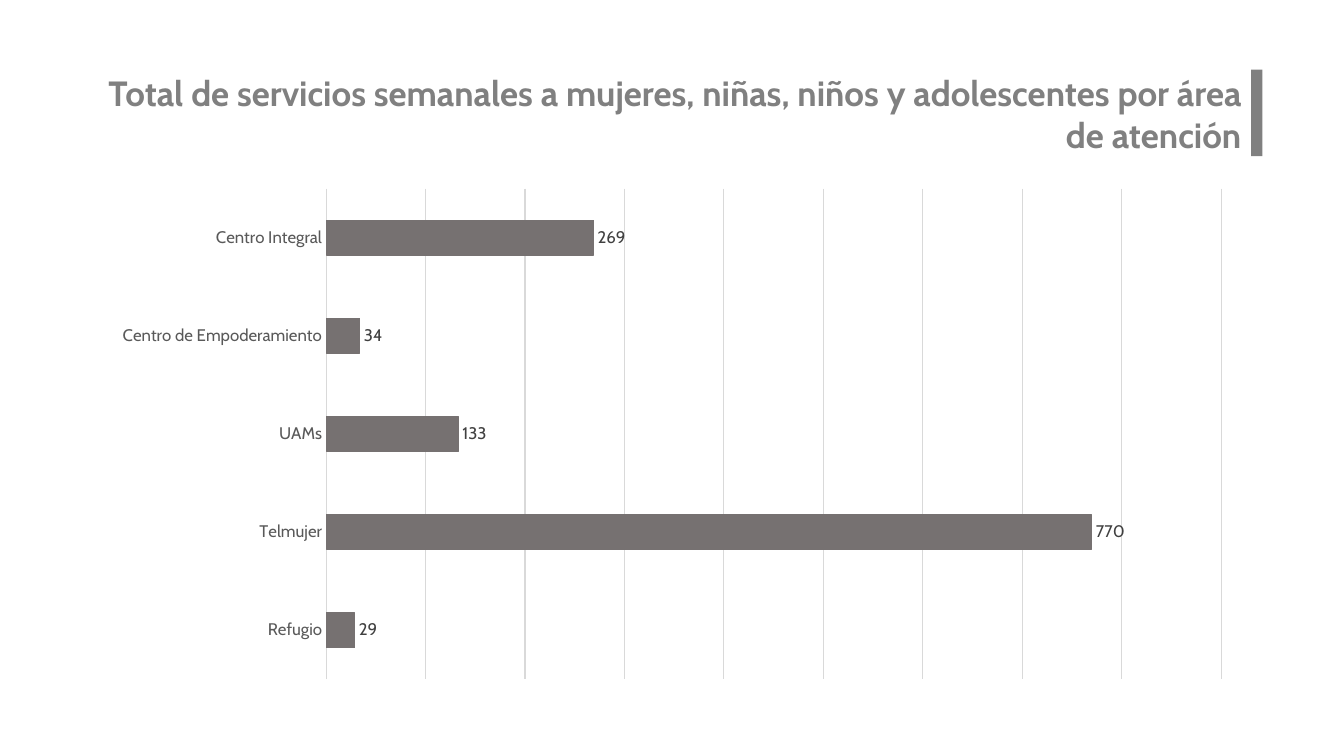
from dataclasses import dataclass

from pptx import Presentation
from pptx.chart.data import CategoryChartData
from pptx.dml.color import RGBColor
from pptx.enum.chart import XL_CHART_TYPE, XL_LABEL_POSITION, XL_TICK_MARK
from pptx.enum.shapes import MSO_SHAPE
from pptx.enum.text import MSO_ANCHOR, MSO_AUTO_SIZE, PP_ALIGN
from pptx.util import Inches, Pt

BAR_CLUSTERED = XL_CHART_TYPE.BAR_CLUSTERED
OUTSIDE_END = XL_LABEL_POSITION.OUTSIDE_END
NO_TICK = XL_TICK_MARK.NONE
RECTANGLE = MSO_SHAPE.RECTANGLE
TOP = MSO_ANCHOR.TOP
NO_AUTOFIT = MSO_AUTO_SIZE.NONE
RIGHT = PP_ALIGN.RIGHT
TITLE_ONLY = 5


@dataclass(frozen=True)
class Theme:
    font: str = "Cabin"
    heading: RGBColor = RGBColor(0x80, 0x80, 0x80)
    bar: RGBColor = RGBColor(0x76, 0x71, 0x71)
    grid: RGBColor = RGBColor(0xD9, 0xD9, 0xD9)
    category: RGBColor = RGBColor(0x59, 0x59, 0x59)
    value: RGBColor = RGBColor(0x40, 0x40, 0x40)
    chart_text: RGBColor = RGBColor(0, 0, 0)
    title_size: Pt = Pt(25)
    label_size: Pt = Pt(12)
    chart_size: Pt = Pt(10)
    line_width: Pt = Pt(0.75)


THEME = Theme()

TITLE = ("Total de servicios semanales a mujeres, niñas, niños y adolescentes "
         "por área de atención")
SERVICES = {
    "Centro Integral": 269,
    "Centro de Empoderamiento": 34,
    "UAMs": 133,
    "Telmujer": 770,
    "Refugio": 29,
}


def style_font(font, size, color, bold=False):
    font.name = THEME.font
    font.size = size
    font.color.rgb = color
    font.bold = bold


def style_line(line, color):
    line.color.rgb = color
    line.width = THEME.line_width


def add_title(s, text, left, top, width, height):
    sp = s.shapes.title
    sp.left, sp.top, sp.width, sp.height = map(Inches, (left, top, width, height))
    tf = sp.text_frame
    tf.text = text
    tf.word_wrap = True
    tf.auto_size = NO_AUTOFIT
    tf.vertical_anchor = TOP
    p = tf.paragraphs[0]
    p.alignment = RIGHT
    p.line_spacing = 1.0
    p.space_before = Pt(0)
    style_font(p.runs[0].font, THEME.title_size, THEME.heading, bold=True)


def add_accent(s, left, top, width, height):
    sp = s.shapes.add_shape(RECTANGLE, *map(Inches, (left, top, width, height)))
    sp.shadow.inherit = False
    sp.fill.solid()
    sp.fill.fore_color.rgb = THEME.heading
    sp.line.fill.background()


def style_axes(chart):
    categories = chart.category_axis
    categories.reverse_order = True
    categories.major_tick_mark = NO_TICK
    categories.minor_tick_mark = NO_TICK
    style_font(categories.tick_labels.font, THEME.label_size, THEME.category)
    style_line(categories.format.line, THEME.grid)

    values = chart.value_axis
    values.visible = False
    values.minimum_scale = 0
    values.maximum_scale = 900
    values.major_unit = 100
    values.has_major_gridlines = True
    style_line(values.major_gridlines.format.line, THEME.grid)


def style_bars(plot):
    plot.gap_width = 182
    plot.vary_by_categories = False
    series = plot.series[0]
    series.format.fill.solid()
    series.format.fill.fore_color.rgb = THEME.bar
    style_line(series.format.line, THEME.bar)
    labels = series.data_labels
    labels.show_value = True
    labels.position = OUTSIDE_END
    style_font(labels.font, THEME.label_size, THEME.value)


def add_bar_chart(s, values, left, top, width, height):
    data = CategoryChartData()
    data.categories = list(values)
    data.add_series("Series 1", list(values.values()))
    frame = s.shapes.add_chart(
        BAR_CLUSTERED, *map(Inches, (left, top, width, height)), data)
    chart = frame.chart
    chart.has_title = False
    chart.has_legend = False
    style_font(chart.font, THEME.chart_size, THEME.chart_text)
    style_axes(chart)
    style_bars(chart.plots[0])


def main():
    prs = Presentation()
    prs.slide_width = Inches(13.33)
    prs.slide_height = Inches(7.5)
    s = prs.slides.add_slide(prs.slide_layouts[TITLE_ONLY])
    add_accent(s, 12.41, 0.69, 0.11, 0.86)
    add_title(s, TITLE, 0.69, 0.66, 11.72, 0.94)
    add_bar_chart(s, SERVICES, 0.99, 1.77, 11.35, 5.07)
    prs.save("out.pptx")


if __name__ == "__main__":
    main()
